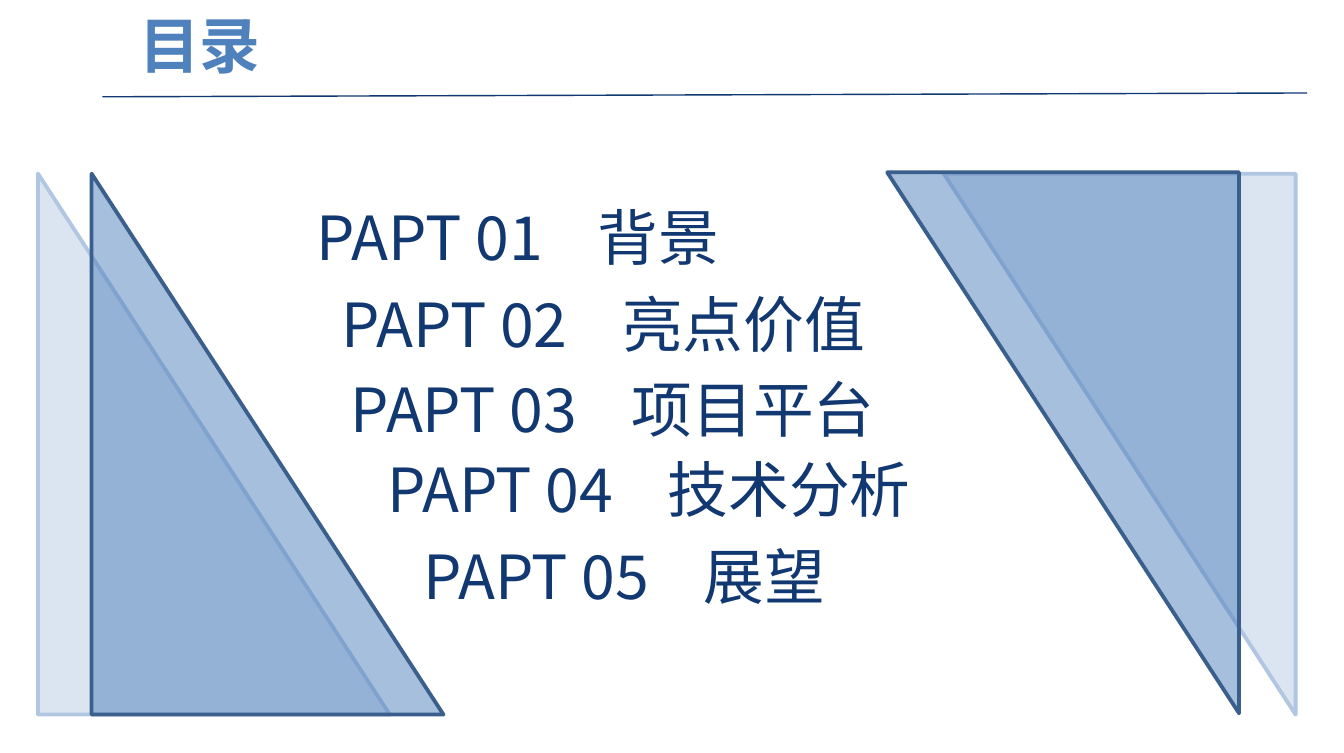
"""Build the contents slide with its slanted list and paired triangles."""
import dataclasses

import lxml.etree
import pptx
import pptx.dml.color
import pptx.enum.shapes
import pptx.enum.text
import pptx.oxml.ns
import pptx.util

Pt = pptx.util.Pt


@dataclasses.dataclass(frozen=True)
class Theme:
    """Colours, fonts and type sizes of the slide."""
    blue: str = "4F81BD"
    navy: str = "113871"
    pale_edge: str = "B0C6E1"
    dark_edge: str = "3A5F8C"
    title_font: str = "Calibri"
    list_font: str = "Noto Sans CJK SC"
    size: int = 32


THEME = Theme()
LINE_HEIGHT = 42
NAME_OFFSET = 148
PARTS = [
    ("背景", 167, 0),
    ("亮点价值", 180, 4),
    ("项目平台", 185, 2.6),
    ("技术分析", 204, 0.5),
    ("展望", 223, 3.4),
]


def colour(code):
    """Return the colour of a hexadecimal code."""
    return pptx.dml.color.RGBColor.from_string(code)


def add_element(parent, tag, **attributes):
    """Append a drawing element to its parent."""
    return lxml.etree.SubElement(parent, pptx.oxml.ns.qn(tag), attributes)


def add_run(paragraph, text, font_name, code, bold=False):
    """Add a formatted run to a paragraph."""
    run = paragraph.add_run()
    run.text = text
    run.font.name = font_name
    run.font.size = Pt(THEME.size)
    run.font.bold = bold
    run.font.color.rgb = colour(code)
    return run


def place_frame(shape, left, top, width, height, inset_x=0, inset_y=0):
    """Move a placeholder and return its top-anchored text frame."""
    shape.left, shape.top = Pt(left), Pt(top)
    shape.width, shape.height = Pt(width), Pt(height)
    frame = shape.text_frame
    frame.word_wrap = True
    frame.auto_size = pptx.enum.text.MSO_AUTO_SIZE.NONE
    frame.vertical_anchor = pptx.enum.text.MSO_ANCHOR.TOP
    frame.margin_left = frame.margin_right = Pt(inset_x)
    frame.margin_top = frame.margin_bottom = Pt(inset_y)
    return frame


def fill_title(shape):
    """Write the slide title."""
    frame = place_frame(shape, 66.2, 0.7, 191.5, 46, 7.2, 3.6)
    paragraph = frame.paragraphs[0]
    paragraph.alignment = pptx.enum.text.PP_ALIGN.LEFT
    add_run(paragraph, "目录", THEME.title_font, THEME.blue, bold=True)


def fill_parts(shape):
    """Write the numbered parts, each with its own indent."""
    frame = place_frame(shape, 0, 101.5, 640, 240)
    for number, (name, indent, space_before) in enumerate(PARTS, 1):
        paragraph = frame.paragraphs[0] if number == 1 else frame.add_paragraph()
        paragraph.alignment = pptx.enum.text.PP_ALIGN.LEFT
        paragraph.line_spacing = Pt(LINE_HEIGHT)
        paragraph.space_before = Pt(space_before)
        paragraph.space_after = Pt(0)
        properties = paragraph._p.get_or_add_pPr()
        properties.set("marL", str(Pt(indent + NAME_OFFSET)))
        properties.set("indent", str(-Pt(NAME_OFFSET)))
        add_element(properties, "a:buNone")
        run = add_run(paragraph, f"PAPT {number:02d}\t{name}", THEME.list_font, THEME.navy)
        add_element(run.font._element, "a:ea", typeface=THEME.list_font)


def add_triangle(slide, left, top, edge, opacity, rotation=0):
    """Add a translucent right triangle."""
    kind = pptx.enum.shapes.MSO_SHAPE.RIGHT_TRIANGLE
    shape = slide.shapes.add_shape(kind, Pt(left), Pt(top), Pt(185.5), Pt(285))
    shape.rotation = rotation
    shape.shadow.inherit = False
    shape.fill.solid()
    shape.fill.fore_color.rgb = colour(THEME.blue)
    fill = shape._element.spPr.find(pptx.oxml.ns.qn("a:solidFill"))
    add_element(fill[0], "a:alpha", val=str(opacity * 1000))
    shape.line.color.rgb = colour(edge)
    shape.line.width = Pt(2)


def add_rule(slide):
    """Add the thin line under the title."""
    kind = pptx.enum.shapes.MSO_CONNECTOR.STRAIGHT
    rule = slide.shapes.add_connector(kind, Pt(54), Pt(51), Pt(689), Pt(49))
    rule.line.color.rgb = colour(THEME.navy)
    rule.line.width = Pt(0.75)
    add_element(rule._element.spPr, "a:effectLst")


def main():
    """Build and save the presentation."""
    presentation = pptx.Presentation()
    presentation.slide_width, presentation.slide_height = Pt(708.5), Pt(396.7)
    slide = presentation.slides.add_slide(presentation.slide_layouts[1])
    fill_title(slide.shapes.title)
    fill_parts(slide.placeholders[1])
    add_triangle(slide, 20, 91.5, THEME.pale_edge, 20)
    add_triangle(slide, 497.5, 91.5, THEME.pale_edge, 20, rotation=180)
    add_triangle(slide, 48.3, 91.5, THEME.dark_edge, 50)
    add_triangle(slide, 467.7, 90.8, THEME.dark_edge, 50, rotation=180)
    add_rule(slide)
    presentation.save("out.pptx")


if __name__ == "__main__":
    main()
